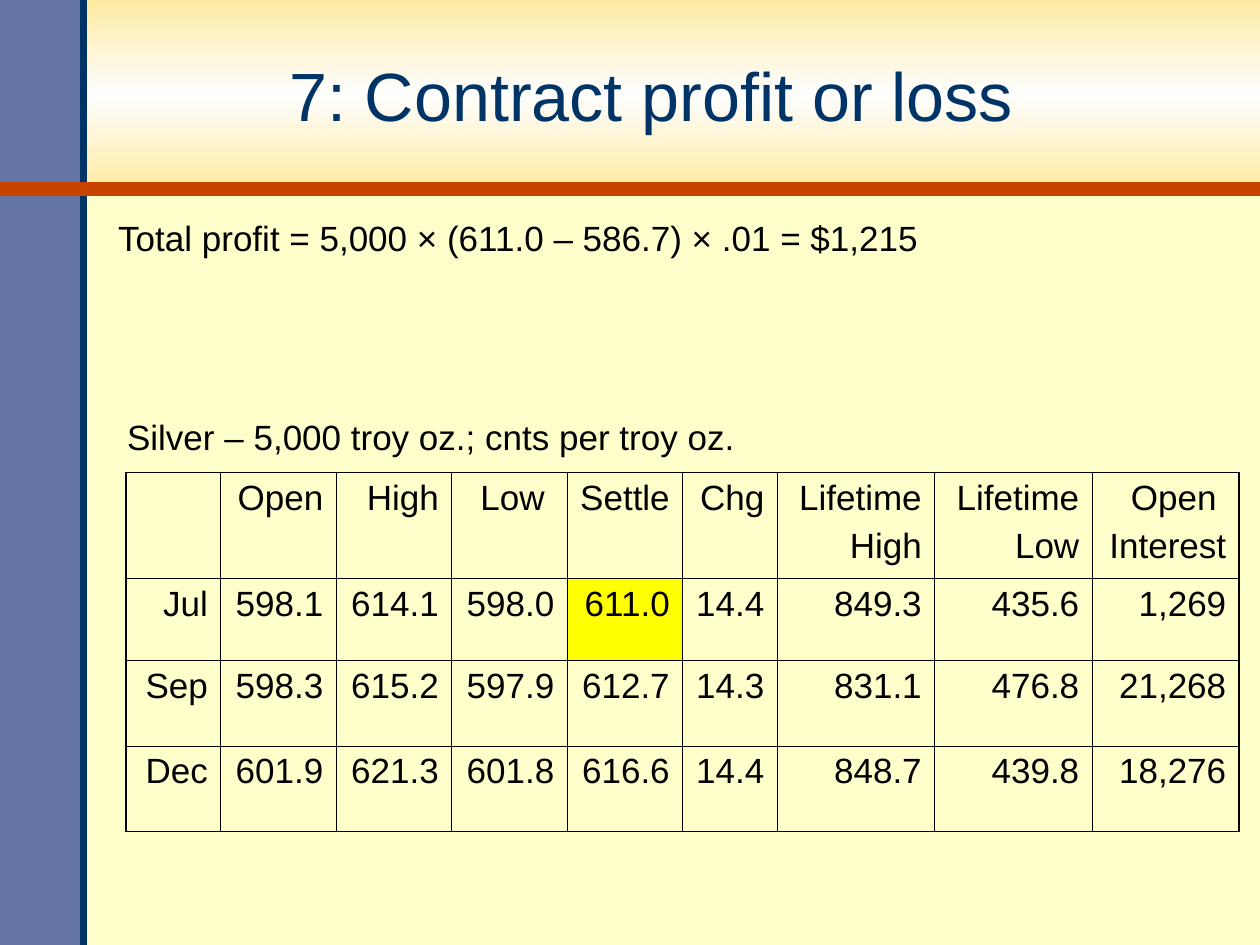
"""Build the slide on the profit or loss of a silver futures contract."""
from copy import deepcopy

from lxml import etree
from pptx import Presentation
from pptx.dml.color import RGBColor
from pptx.enum.shapes import MSO_CONNECTOR, MSO_SHAPE
from pptx.enum.text import MSO_ANCHOR, PP_ALIGN
from pptx.oxml.ns import qn
from pptx.util import Inches, Pt

STRAIGHT = MSO_CONNECTOR.STRAIGHT
RECTANGLE = MSO_SHAPE.RECTANGLE
MIDDLE, TOP = MSO_ANCHOR.MIDDLE, MSO_ANCHOR.TOP
LEFT, CENTER, RIGHT = PP_ALIGN.LEFT, PP_ALIGN.CENTER, PP_ALIGN.RIGHT

CREAM = RGBColor(0xFF, 0xFF, 0xCC)
GOLD = RGBColor(0xFD, 0xEB, 0xA1)
WHITE = RGBColor(0xFE, 0xFE, 0xFE)
SLATE = RGBColor(0x64, 0x75, 0xA6)
NAVY = RGBColor(0x00, 0x33, 0x66)
RUST = RGBColor(0xC8, 0x43, 0x00)
BLACK = RGBColor(0x00, 0x00, 0x00)
YELLOW = RGBColor(0xFF, 0xFF, 0x00)

WIDTH, HEIGHT = 10, 7.5
BANNER_HEIGHT = HEIGHT / 5
RAIL_WIDTH = WIDTH / 15
UNIT = 1 / 12
COLUMN_UNITS = [9, 11, 11, 11, 11, 9, 15, 15, 14]
ROW_HEIGHTS = [0.84, 0.65, 0.68, 0.68]
OUTER_LINE, INNER_LINE = 1.08, 0.45
SETTLE_JULY = (1, 4)

QUOTES = [
    ["", "Open", "High", "Low ", "Settle", "Chg",
     "Lifetime\nHigh", "Lifetime\nLow", "Open \nInterest"],
    ["Jul", "598.1", "614.1", "598.0", "611.0", "14.4", "849.3", "435.6", "1,269"],
    ["Sep", "598.3", "615.2", "597.9", "612.7", "14.3", "831.1", "476.8", "21,268"],
    ["Dec", "601.9", "621.3", "601.8", "616.6", "14.4", "848.7", "439.8", "18,276"],
]


def write_text(frame, text, size=20, color=BLACK, align=LEFT, space_before=0):
    """Write one paragraph per line of text, spacing all but the first."""
    for index, line in enumerate(text.split("\n")):
        paragraph = frame.add_paragraph() if index else frame.paragraphs[0]
        paragraph.alignment = align
        paragraph.space_before = Pt(space_before if index else 0)
        run = paragraph.add_run()
        run.text = line
        run.font.name = "Arial"
        run.font.size = Pt(size)
        run.font.color.rgb = color


def add_label(slide, text, box, anchor=TOP, **text_format):
    """Add a text box at left, top, width, height in inches."""
    frame = slide.shapes.add_textbox(*map(Inches, box)).text_frame
    frame.word_wrap = True
    frame.vertical_anchor = anchor
    write_text(frame, text, **text_format)


def add_panel(slide, width, height):
    """Add a borderless rectangle in the top left corner."""
    panel = slide.shapes.add_shape(RECTANGLE, 0, 0, Inches(width), Inches(height))
    panel.shadow.inherit = False
    panel.line.fill.background()
    return panel


def add_banner(slide):
    """Add the title band, fading from gold to white and back."""
    banner = add_panel(slide, WIDTH, BANNER_HEIGHT)
    banner.fill.gradient()
    banner.fill.gradient_angle = 90
    first = next(banner.element.iter(qn("a:gs")))
    first.addnext(deepcopy(first))
    for index, (stop, color) in enumerate(zip(banner.fill.gradient_stops, (GOLD, WHITE, GOLD))):
        stop.position = index / 2
        stop.color.rgb = color


def add_rule(slide, start, end, color, weight):
    """Add a straight line between two points in inches."""
    rule = slide.shapes.add_connector(STRAIGHT, *map(Inches, start + end))
    rule.line.color.rgb = color
    rule.line.width = Pt(weight)
    etree.SubElement(rule.element.spPr, qn("a:effectLst"))


def set_border(cell, side, weight):
    """Draw one side (L, R, T or B) of a cell in black."""
    properties = cell._tc.get_or_add_tcPr()
    border = etree.SubElement(properties, qn(f"a:ln{side}"), w=str(Pt(weight)))
    fill = etree.SubElement(border, qn("a:solidFill"))
    etree.SubElement(fill, qn("a:srgbClr"), val=str(BLACK))


def style_cell(cell, row, column):
    """Frame the table heavily, rule it lightly and mark the July settlement."""
    edges = {"L": column == 0, "R": column == len(COLUMN_UNITS) - 1,
             "T": row == 0, "B": row == len(ROW_HEIGHTS) - 1}
    for side, is_outer in edges.items():
        set_border(cell, side, OUTER_LINE if is_outer else INNER_LINE)
    if (row, column) == SETTLE_JULY:
        cell.fill.solid()
        cell.fill.fore_color.rgb = YELLOW
    else:
        cell.fill.background()


def add_quotes(slide, left, top):
    """Add the table of silver futures quotes."""
    size = Inches(sum(COLUMN_UNITS) * UNIT), Inches(sum(ROW_HEIGHTS))
    table = slide.shapes.add_table(len(QUOTES), len(COLUMN_UNITS),
                                   Inches(left), Inches(top), *size).table
    table.first_row = table.horz_banding = False
    for column, units in zip(table.columns, COLUMN_UNITS):
        column.width = Inches(units * UNIT)
    for row, height in zip(table.rows, ROW_HEIGHTS):
        row.height = Inches(height)
    for row, quotes in enumerate(QUOTES):
        for column, quote in enumerate(quotes):
            cell = table.cell(row, column)
            style_cell(cell, row, column)
            if quote:
                write_text(cell.text_frame, quote, align=RIGHT, space_before=5)


def main():
    """Build and save the slide."""
    deck = Presentation()
    deck.slide_width, deck.slide_height = Inches(WIDTH), Inches(HEIGHT)
    slide = deck.slides.add_slide(deck.slide_layouts[6])
    slide.background.fill.solid()
    slide.background.fill.fore_color.rgb = CREAM

    add_banner(slide)
    rail = add_panel(slide, RAIL_WIDTH, HEIGHT)
    rail.fill.solid()
    rail.fill.fore_color.rgb = SLATE
    add_rule(slide, (RAIL_WIDTH, HEIGHT), (RAIL_WIDTH, 0), NAVY, 4)
    add_rule(slide, (0, BANNER_HEIGHT), (WIDTH, BANNER_HEIGHT), RUST, 8)

    add_label(slide, "7: Contract profit or loss", (0.65, 0.15, 9.04, 1.2),
              anchor=MIDDLE, size=39, color=NAVY, align=CENTER)
    add_quotes(slide, WIDTH / 10, HEIGHT / 2)
    add_label(slide, "Silver – 5,000 troy oz.; cnts per troy oz.", (0.91, 3.25, 5.15, 0.44))
    add_label(slide, "Total profit = 5,000 × (611.0 – 586.7) × .01 = $1,215",
              (0.84, 1.67, 6.8, 0.44))
    deck.save("out.pptx")


if __name__ == "__main__":
    main()
